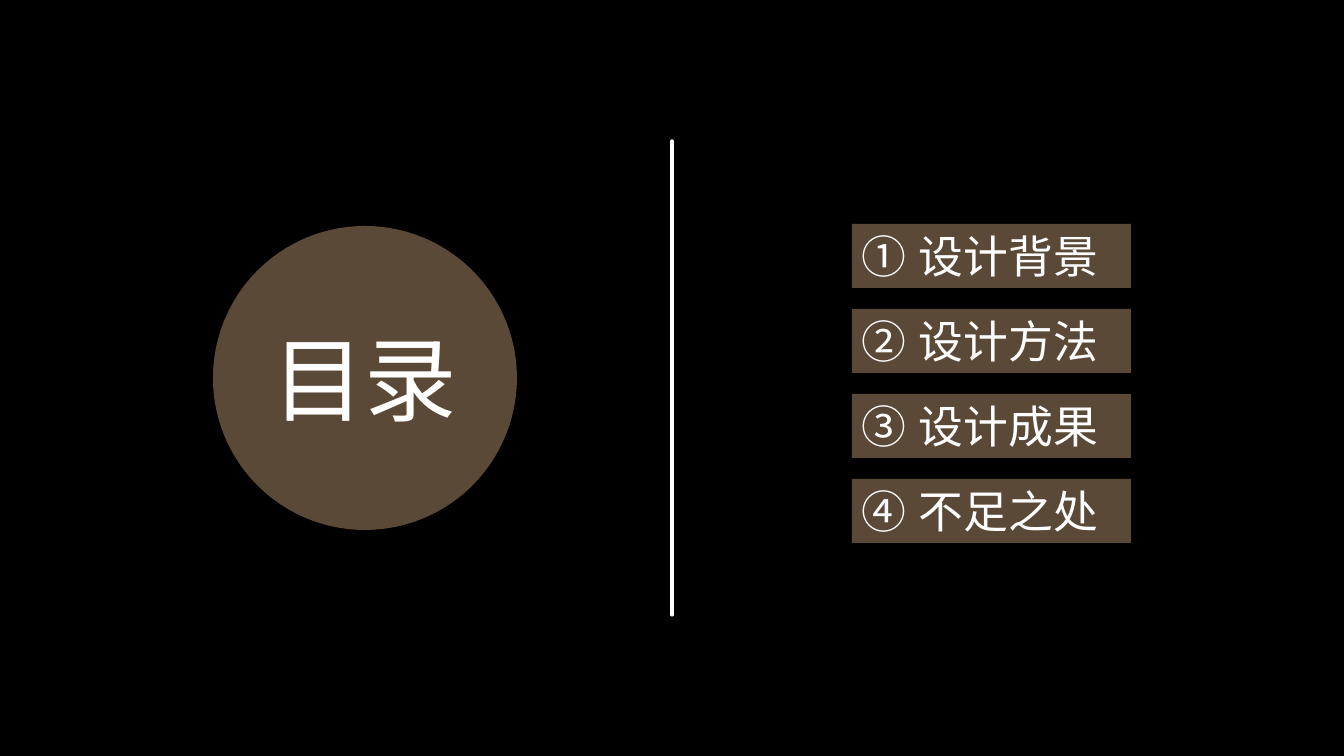
from dataclasses import dataclass

from lxml.etree import SubElement
from pptx import Presentation
from pptx.dml.color import RGBColor
from pptx.enum.shapes import MSO_CONNECTOR as Link, MSO_SHAPE as Kind
from pptx.enum.text import MSO_ANCHOR as Anchor, PP_ALIGN as Align
from pptx.oxml.ns import qn
from pptx.util import Emu, Pt

FONT = "Noto Sans CJK SC"
BLACK, WHITE, BROWN = "000000", "FFFFFF", "5B4937"


@dataclass
class Box:
    left: int
    top: int
    width: int
    height: int


def px(n: int) -> Emu:
    return Emu(round(n * 914400 / 100.8))


def paint(fill, color: str) -> None:
    fill.solid()
    fill.fore_color.rgb = RGBColor.from_string(color)


def panel(slide, kind, box: Box):
    """Add a plain brown shape."""
    shape = slide.shapes.add_shape(
        kind, px(box.left), px(box.top), px(box.width), px(box.height))
    shape.shadow.inherit = False
    paint(shape.fill, BROWN)
    shape.line.fill.background()
    return shape


def write(shape, text: str, *, size: int, align=Align.LEFT, number: int = 0) -> None:
    """Fill a shape with one line, with a circled number if given."""
    frame = shape.text_frame
    frame.word_wrap = True
    frame.vertical_anchor = Anchor.MIDDLE
    frame.margin_top = frame.margin_bottom = 0
    para = frame.paragraphs[0]
    para.alignment = align
    run = para.add_run()
    run.text = text
    run.font.size = Pt(size)
    run.font.name = FONT
    paint(run.font.fill, WHITE)
    SubElement(run.font._element, qn("a:ea"), typeface=FONT)
    if number:
        props = para._p.get_or_add_pPr()
        props.set("marL", str(px(57)))
        props.set("indent", str(-px(57)))
        SubElement(props, qn("a:buFont"), typeface=FONT)
        SubElement(props, qn("a:buAutoNum"),
                   type="circleNumDbPlain", startAt=str(number))


def rule(slide, x: int, top: int, end: int) -> None:
    """Draw a white upright line with round ends."""
    line = slide.shapes.add_connector(Link.STRAIGHT, px(x), px(top), px(x), px(end))
    line.line.width = Pt(2.25)
    paint(line.line.fill, WHITE)
    line.line._get_or_add_ln().set("cap", "rnd")
    SubElement(line._element.spPr, qn("a:effectLst"))


def main() -> None:
    deck = Presentation()
    deck.slide_width, deck.slide_height = px(1344), px(756)
    slide = deck.slides.add_slide(deck.slide_layouts[6])
    paint(slide.background.fill, BLACK)

    # Title disc
    disc = panel(slide, Kind.OVAL, Box(213, 226, 304, 304))
    write(disc, "目录", size=66, align=Align.CENTER)

    # Numbered topics
    topics = ["设计背景", "设计方法", "设计成果", "不足之处"]
    for i, topic in enumerate(topics):
        bar = panel(slide, Kind.RECTANGLE, Box(852, 224 + 85 * i, 279, 64))
        write(bar, topic, size=32, number=i + 1)

    # Divider
    rule(slide, 672, 141, 615)
    deck.save("out.pptx")


if __name__ == "__main__":
    main()
